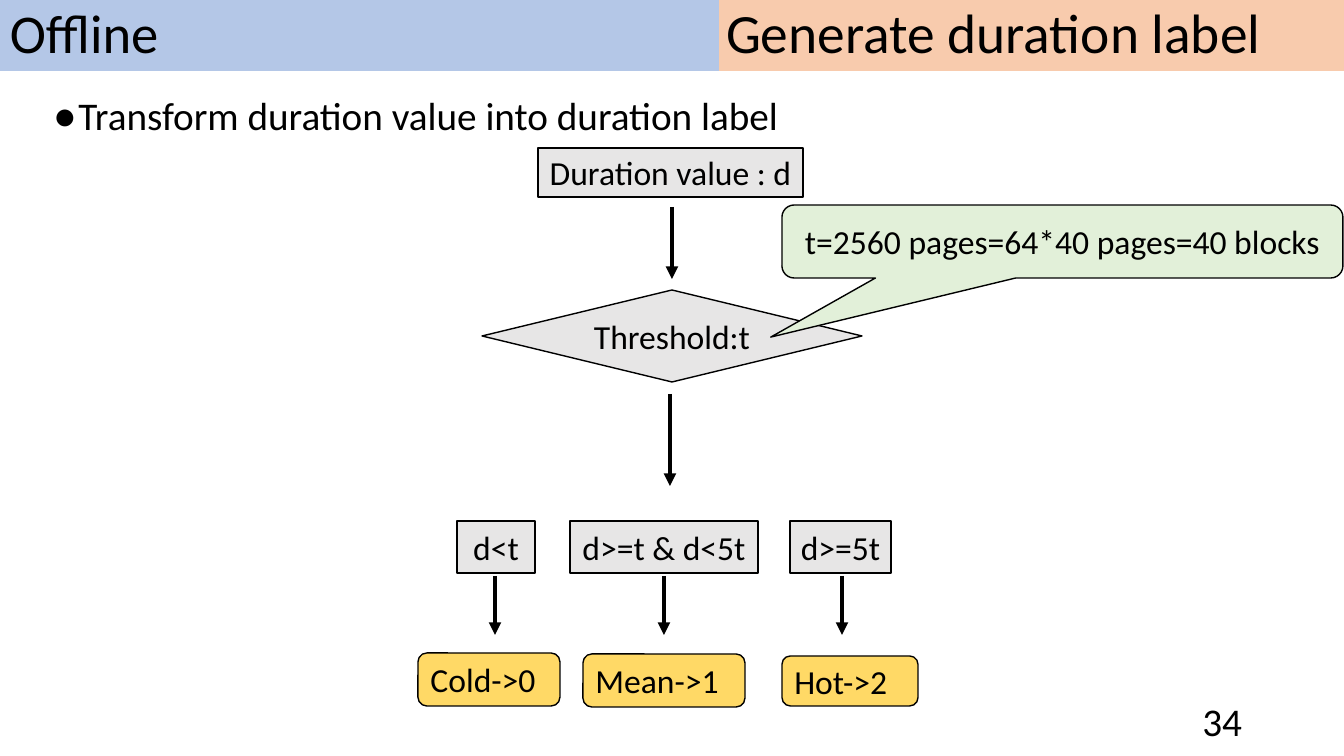
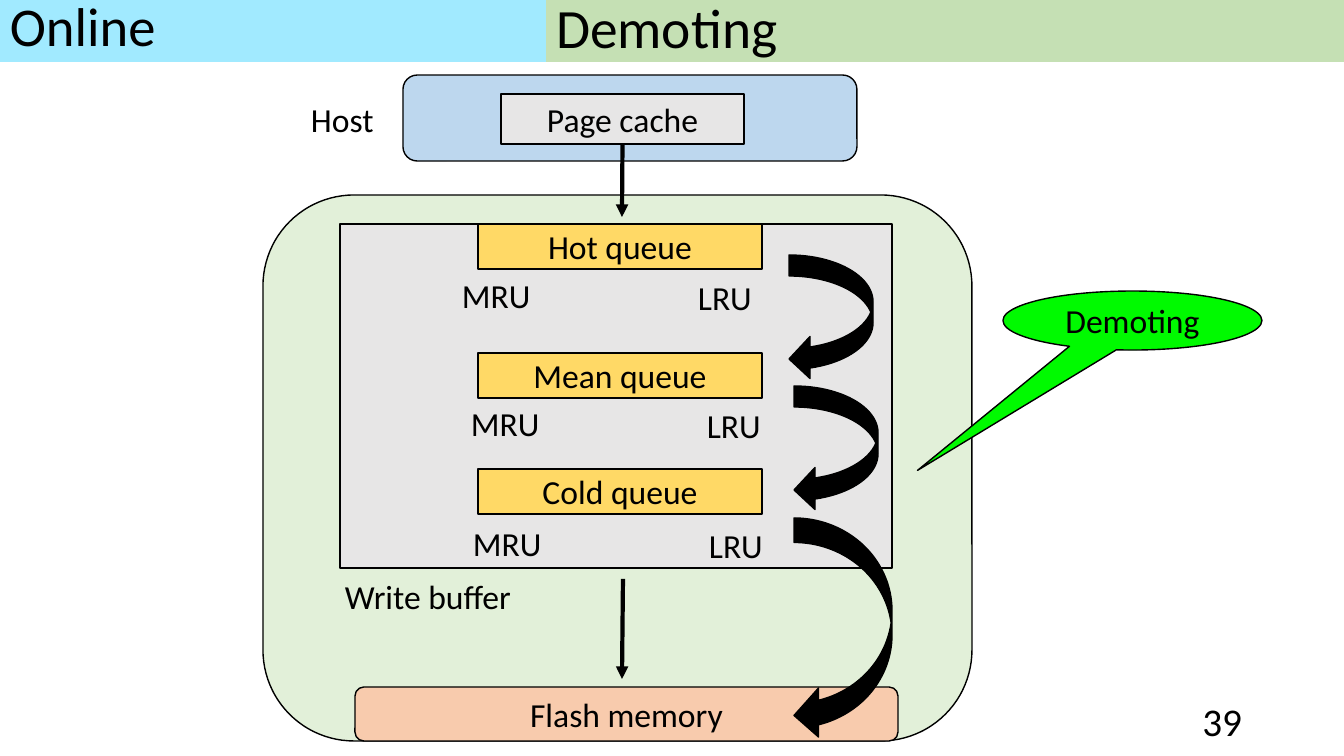
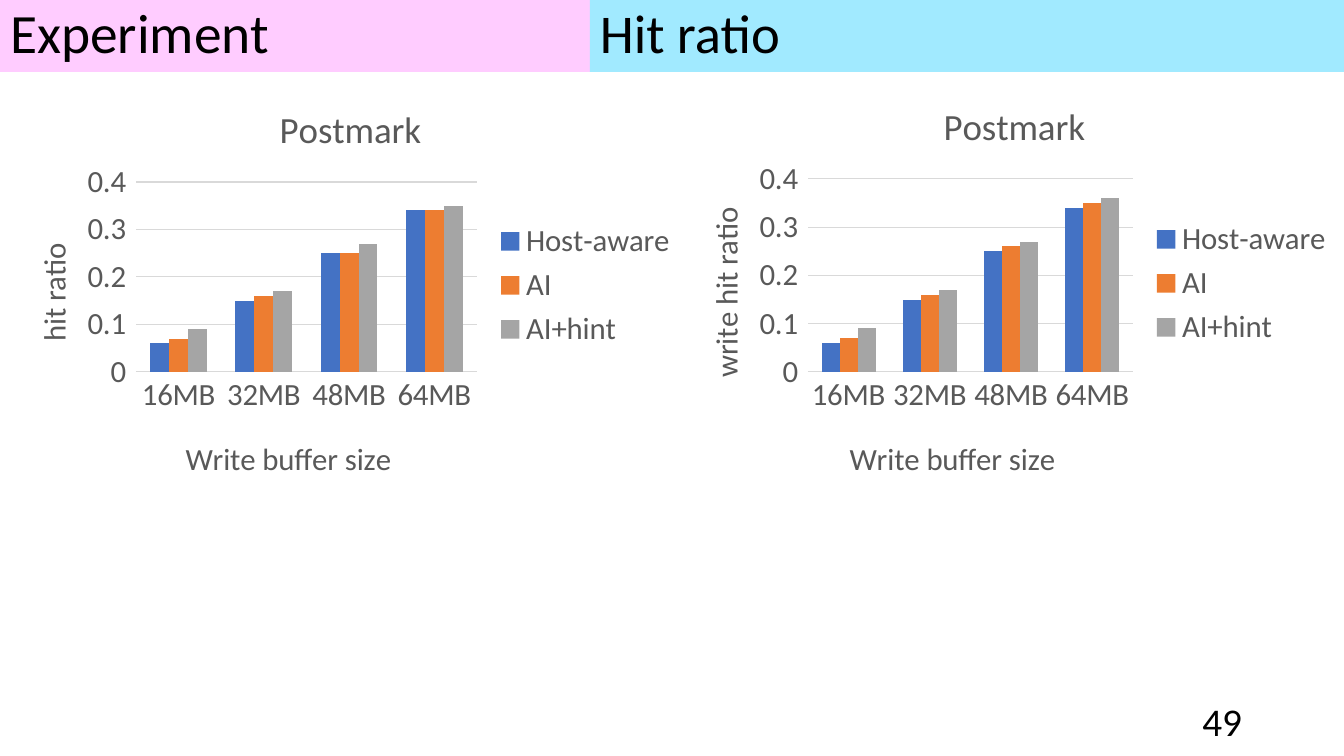
"""Build three slides on labelling, demoting and hit ratio in a write buffer."""
from lxml.etree import SubElement
from pptx import Presentation
from pptx.chart.data import CategoryChartData
from pptx.dml.color import RGBColor
from pptx.enum.chart import XL_CHART_TYPE, XL_LEGEND_POSITION, XL_TICK_MARK
from pptx.enum.shapes import MSO_CONNECTOR, MSO_SHAPE as SHAPE
from pptx.enum.text import MSO_ANCHOR, MSO_AUTO_SIZE, PP_ALIGN as ALIGN
from pptx.oxml import parse_xml
from pptx.oxml.ns import nsdecls, qn
from pptx.util import Pt

PX = 914400 / 100.8
FONT = "Calibri"
BLACK, GREY, GOLD, GREEN, PEACH = "000000", "E7E6E6", "FFD966", "E2F0D9", "F8CBAD"
SKY, CHART_TEXT, GRID = "A1EAFF", "595959", "D9D9D9"
rgb = RGBColor.from_string


def emu(*lengths):
    return [round(length * PX) for length in lengths]


def dress(shape, text="", fill=None, outline=None, size=24, align=ALIGN.LEFT, spacing=1.0):
    shape.shadow.inherit = False
    if fill:
        shape.fill.solid()
        shape.fill.fore_color.rgb = rgb(fill)
    else:
        shape.fill.background()
    if outline:
        shape.line.color.rgb = rgb(outline)
        shape.line.width = Pt(1)
    else:
        shape.line.fill.background()
    frame = shape.text_frame
    frame.word_wrap = True
    frame.auto_size = MSO_AUTO_SIZE.NONE
    frame.vertical_anchor = MSO_ANCHOR.MIDDLE
    if text:
        frame.text = text
        paragraph = frame.paragraphs[0]
        paragraph.alignment = align
        paragraph.line_spacing = spacing
        paragraph.space_before = Pt(0)
        font = paragraph.runs[0].font
        font.name, font.size, font.color.rgb = FONT, Pt(size), rgb(text and BLACK)
    return shape


deck = Presentation()
deck.slide_width, deck.slide_height = emu(1344, 756)

headers = [
    (1, "Generate duration label", (716, 0, 628, 71), PEACH,
     "Offline", (0, 0, 719, 71), "B4C7E7", 0.9, "34"),
    (5, "Demoting", (546, 0, 798, 62), "C5E0B4",
     "Online", (0, 0, 546, 62), SKY, 0.8, "39"),
    (5, "Experiment", (0, 0, 1344, 72), "FFCCFF",
     "Hit ratio", (590, 0, 754, 72), SKY, 0.9, "49"),
]
for layout, title, title_box, title_fill, phase, phase_box, phase_fill, spacing, number in headers:
    slide = deck.slides.add_slide(deck.slide_layouts[layout])
    heading = slide.shapes.title
    heading.left, heading.top, heading.width, heading.height = emu(*title_box)
    dress(heading, title, title_fill, size=39.6, spacing=0.9)
    band = slide.shapes.add_shape(SHAPE.RECTANGLE, *emu(*phase_box))
    dress(band, phase, phase_fill, size=39, spacing=spacing)
    page = slide.shapes.add_textbox(*emu(950, 701, 302, 40))
    dress(page, number, size=28, align=ALIGN.RIGHT)
offline, online, experiment = deck.slides

bullet = offline.placeholders[1]
bullet.left, bullet.top, bullet.width, bullet.height = emu(43, 92, 1300, 62)
dress(bullet, "Transform duration value into duration label", size=28, spacing=0.9)
bullet.text_frame.vertical_anchor = MSO_ANCHOR.TOP
properties = bullet.text_frame.paragraphs[0]._p.get_or_add_pPr()
properties.set("marL", "228600")
properties.set("indent", "-228600")
SubElement(properties, qn("a:buChar")).set("char", "●")

flow = [
    (SHAPE.RECTANGLE, (538, 148, 265, 49), "Duration value : d", GREY),
    (SHAPE.FLOWCHART_DECISION, (482, 290, 380, 92), "Threshold:t", GREY),
    (SHAPE.RECTANGLE, (457, 521, 78, 52), "d<t", GREY),
    (SHAPE.RECTANGLE, (570, 521, 188, 52), "d>=t & d<5t", GREY),
    (SHAPE.RECTANGLE, (790, 521, 101, 52), "d>=5t", GREY),
    (SHAPE.ROUNDED_RECTANGULAR_CALLOUT, (782, 205, 561, 73),
     "t=2560 pages=64*40 pages=40 blocks", GREEN),
]
for kind, box, text, fill in flow:
    step = dress(offline.shapes.add_shape(kind, *emu(*box)), text, fill, BLACK, align=ALIGN.CENTER)
step.adjustments[0], step.adjustments[1] = -0.52, 1.31

for text, box in [("Cold->0", (418, 653, 142, 53)), ("Mean->1", (583, 654, 162, 53)),
                  ("Hot->2", (782, 656, 136, 50))]:
    label = offline.shapes.add_shape(SHAPE.FLOWCHART_ALTERNATE_PROCESS, *emu(*box))
    dress(label, text, GOLD, BLACK)

device = [
    (SHAPE.ROUNDED_RECTANGLE, (263, 195, 709, 546), "", GREEN),
    (SHAPE.ROUNDED_RECTANGLE, (403, 75, 454, 86), "", "BDD7EE"),
    (SHAPE.RECTANGLE, (340, 224, 552, 344), "", GREY),
    (SHAPE.RECTANGLE, (478, 224, 284, 45), "Hot queue", GOLD),
    (SHAPE.RECTANGLE, (478, 353, 284, 45), "Mean queue", GOLD),
    (SHAPE.RECTANGLE, (478, 469, 284, 45), "Cold queue", GOLD),
    (SHAPE.ROUNDED_RECTANGLE, (355, 687, 543, 54), "Flash memory", PEACH),
    (SHAPE.CURVED_LEFT_ARROW, (789, 255, 84, 125), "", BLACK),
    (SHAPE.CURVED_LEFT_ARROW, (794, 386, 84, 125), "", BLACK),
    (SHAPE.CURVED_LEFT_ARROW, (794, 518, 98, 222), "", BLACK),
    (SHAPE.OVAL_CALLOUT, (1003, 291, 259, 59), "Demoting", "00FA00"),
    (SHAPE.RECTANGLE, (501, 94, 243, 50), "Page cache", GREY),
]
for kind, box, text, fill in device:
    part = dress(online.shapes.add_shape(kind, *emu(*box)), text, fill, BLACK, align=ALIGN.CENTER)
    if kind == SHAPE.OVAL_CALLOUT:
        part.adjustments[0], part.adjustments[1] = -0.83, 2.54
page_cache = part

captions = [("Host", 301, 94, 101), ("Write buffer", 335, 571, 237)]
for left, top in [(452, 270), (461, 398), (463, 518)]:
    captions += [("MRU", left, top, 110), ("LRU", left + 236, top + 2, 84)]
for text, left, top, width in captions:
    dress(online.shapes.add_textbox(*emu(left, top, width, 50)), text)

arrows = [
    (offline, None, (672, 207, 672, 279)),
    (offline, None, (670, 394, 670, 486)),
    (offline, None, (495, 576, 495, 635)),
    (offline, None, (664, 576, 664, 635)),
    (offline, None, (842, 576, 842, 635)),
    (online, page_cache, (623, 144, 622, 217)),
    (online, None, (623, 579, 622, 679)),
]
for slide, source, ends in arrows:
    arrow = slide.shapes.add_connector(MSO_CONNECTOR.STRAIGHT, *emu(*ends))
    if source:
        arrow.begin_connect(source, 2)
    arrow.line.color.rgb = rgb(BLACK)
    arrow.line.width = Pt(3)
    SubElement(arrow.line._get_or_add_ln(), qn("a:tailEnd")).set("type", "triangle")
    SubElement(arrow._element.spPr, qn("a:effectLst"))

sizes = ["16MB", "32MB", "48MB", "64MB"]
host_aware = [0.06, 0.15, 0.25, 0.34]
charts = [
    ((0, 75, 688, 421), (136, 107, 341, 190), "hit ratio", (273, 23), (180, 357), (27, 163),
     [0.07, 0.16, 0.25, 0.34], [0.09, 0.17, 0.27, 0.35]),
    ((672, 72, 672, 423), (136, 107, 325, 193), "write hit ratio", (265, 23), (172, 360), (27, 130),
     [0.07, 0.16, 0.26, 0.35], [0.09, 0.17, 0.27, 0.36]),
]
for box, plot_box, ratio, name_at, size_at, ratio_at, ai, ai_hint in charts:
    data = CategoryChartData()
    data.categories = sizes
    for name, values in [("Host-aware", host_aware), ("AI", ai), ("AI+hint", ai_hint)]:
        data.add_series(name, values)
    chart = experiment.shapes.add_chart(XL_CHART_TYPE.COLUMN_CLUSTERED, *emu(*box), data).chart
    chart.font.name, chart.font.size, chart.font.color.rgb = FONT, Pt(22), rgb(CHART_TEXT)
    chart.has_legend = True
    chart.legend.position = XL_LEGEND_POSITION.RIGHT
    chart.legend.include_in_layout = False

    bars = chart.plots[0]
    bars.gap_width, bars.overlap, bars.vary_by_categories = 150, 0, False
    for series, fill in zip(bars.series, ["4472C4", "ED7D31", "A5A5A5"]):
        series.format.fill.solid()
        series.format.fill.fore_color.rgb = rgb(fill)

    size_axis, ratio_axis = chart.category_axis, chart.value_axis
    size_axis.major_tick_mark = XL_TICK_MARK.NONE
    ratio_axis.minimum_scale, ratio_axis.maximum_scale, ratio_axis.major_unit = 0, 0.4, 0.1
    ratio_axis.tick_labels.number_format = "General"
    ratio_axis.tick_labels.number_format_is_linked = False
    ratio_axis.format.line.fill.background()
    for line in (size_axis.format.line, ratio_axis.major_gridlines.format.line):
        line.color.rgb = rgb(GRID)
        line.width = Pt(0.75)

    placed = [(chart.element.find(".//" + qn("c:plotArea")), plot_box)]
    for title, text, points, corner in [
            (chart.chart_title, "Postmark", 26.4, name_at),
            (size_axis.axis_title, "Write buffer size", 22, size_at),
            (ratio_axis.axis_title, ratio, 22, ratio_at)]:
        title.text_frame.text = text
        font = title.text_frame.paragraphs[0].runs[0].font
        font.name, font.size, font.bold, font.color.rgb = FONT, Pt(points), False, rgb(CHART_TEXT)
        placed.append((title.element, corner))
    title.element.find(".//" + qn("a:bodyPr")).set("rot", "-5400000")

    for element, spot in placed:
        for old in element.findall(qn("c:layout")):
            element.remove(old)
        target = '<c:layoutTarget val="inner"/>' if len(spot) == 4 else ""
        modes = '<c:xMode val="edge"/><c:yMode val="edge"/>'
        shares = "".join(f'<c:{side} val="{part / box[2 + side_no % 2]:.4f}"/>'
                         for side_no, (side, part) in enumerate(zip("xywh", spot)))
        layout = parse_xml(f'<c:layout {nsdecls("c")}><c:manualLayout>{target}{modes}{shares}'
                           '</c:manualLayout></c:layout>')
        element.insert(0 if element.find(qn("c:tx")) is None else 1, layout)

deck.save("out.pptx")
